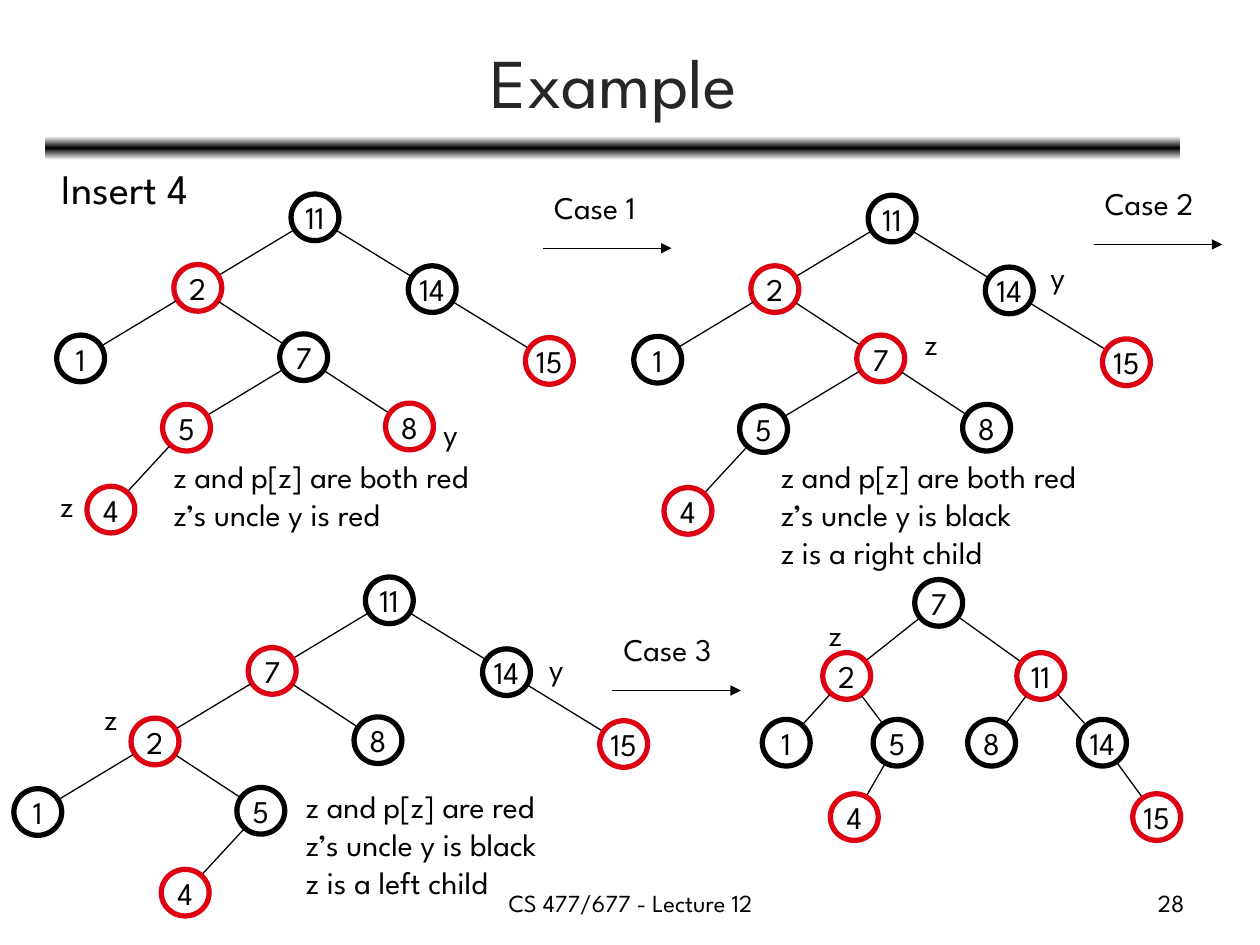
import copy
import math
import pptx
import pptx.util
import pptx.dml.color
import pptx.enum.shapes
import pptx.enum.text
import pptx.oxml
import pptx.oxml.ns

FONT = "League Spartan"
BLACK, RED, GREY, WHITE = "000000", "DD0111", "262626", "FFFFFF"
WIDE, HIGH = 10, 7.5
NODE_W, NODE_H, REACH = 0.38, 0.37, 0.2

# Steps from a parent to a child
LEFT, RIGHT, INNER, STEEP = (-0.93, 0.56), (0.93, 0.57), (0.84, 0.55), (-0.6, 0.65)

# Each tree: root corner, red keys, then key: (parent, step)
FIRST = {"11": None, "2": ("11", LEFT), "14": ("11", RIGHT), "1": ("2", LEFT),
         "15": ("14", RIGHT), "7": ("2", INNER), "8": ("7", INNER),
         "5": ("7", LEFT), "4": ("5", STEEP)}
THIRD = {"11": None, "7": ("11", LEFT), "14": ("11", RIGHT), "15": ("14", RIGHT),
         "2": ("7", LEFT), "8": ("7", INNER), "1": ("2", LEFT),
         "5": ("2", INNER), "4": ("5", STEEP)}
LAST = {"7": None, "2": ("7", (-0.73, 0.58)), "11": ("7", (0.81, 0.58)),
        "1": ("2", (-0.48, 0.53)), "5": ("2", (0.4, 0.53)),
        "8": ("11", (-0.39, 0.53)), "14": ("11", (0.49, 0.53)),
        "4": ("5", (-0.34, 0.59)), "15": ("14", (0.43, 0.59))}
TREES = [((2.31, 1.54), "2 5 8 15 4", FIRST),
         ((6.89, 1.55), "2 7 15 4", FIRST),
         ((2.9, 4.58), "7 2 15 4", THIRD),
         ((7.26, 4.6), "2 11 15 4", LAST)]

# Case arrows: name, left, top of the name
CASES = [("Case 1", 4.3, 1.44), ("Case 2", 8.67, 1.41), ("Case 3", 4.85, 4.95)]

# Pointer names: text, left, top
MARKS = [("y", 3.42, 3.24), ("z", 0.38, 3.81), ("z", 7.24, 2.52), ("y", 8.24, 1.99),
         ("z", 0.73, 5.5), ("y", 4.26, 5.1), ("z", 6.48, 4.83)]

# Remarks: lines, left, top, width
NOTES = [(["z and p[z] are both red", "z’s uncle y is red"], 1.28, 3.58, 3.02),
         (["z and p[z] are both red", "z’s uncle y is black", "z is a right child"],
          6.1, 3.58, 3.02),
         (["z and p[z] are red", "z’s uncle y is black", "z is a left child"],
          2.33, 6.2, 2.43)]

deck = pptx.Presentation()
deck.slide_width = pptx.util.Inches(WIDE)
deck.slide_height = pptx.util.Inches(HIGH)
slide = deck.slides.add_slide(deck.slide_layouts[5])
SHAPE = pptx.enum.shapes.MSO_SHAPE
ALIGN = pptx.enum.text.PP_ALIGN
MIDDLE = pptx.enum.text.MSO_ANCHOR.MIDDLE


def inch(*vals):
    return [pptx.util.Inches(v) for v in vals]


def color(code):
    return pptx.dml.color.RGBColor.from_string(code)


def write(shape, lines, size=18, ink=BLACK, align=ALIGN.LEFT, anchor=None,
          wrap=False, grow=False):
    frame = shape.text_frame
    frame.text = "\n".join(lines)
    frame.word_wrap = wrap
    if anchor is not None:
        frame.vertical_anchor = anchor
    if grow:
        frame.auto_size = pptx.enum.text.MSO_AUTO_SIZE.SHAPE_TO_FIT_TEXT
    for para in frame.paragraphs:
        para.alignment = align
        for run in para.runs:
            run.font.name = FONT
            run.font.size = pptx.util.Pt(size)
            run.font.color.rgb = color(ink)


def label(lines, left, top, width, height, **form):
    box = slide.shapes.add_textbox(*inch(left, top, width, height))
    write(box, lines, **form)


def line(start, end, arrow=False):
    link = slide.shapes.add_connector(
        pptx.enum.shapes.MSO_CONNECTOR.STRAIGHT, *inch(*start, *end))
    link.line.color.rgb = color(BLACK)
    link.line.width = pptx.util.Pt(0.75)
    if arrow:
        tail = pptx.oxml.ns.qn("a:tailEnd")
        link.line._get_or_add_ln().makeelement(tail)
        link._element.spPr.find(pptx.oxml.ns.qn("a:ln")).append(
            pptx.oxml.parse_xml(
                f'<a:tailEnd {pptx.oxml.ns.nsdecls("a")} type="triangle"/>'))
    link._element.spPr.append(
        pptx.oxml.parse_xml(f'<a:effectLst {pptx.oxml.ns.nsdecls("a")}/>'))


def node(key, left, top, ink):
    ring = slide.shapes.add_shape(SHAPE.OVAL, *inch(left, top, NODE_W, NODE_H))
    ring.shadow.inherit = False
    ring.fill.background()
    ring.line.color.rgb = color(ink)
    ring.line.width = pptx.util.Pt(3)
    write(ring, [key], align=ALIGN.CENTER, anchor=MIDDLE)


def edge(top, low):
    # Join two rings, stopping at the rim of each
    dx, dy = low[0] - top[0], low[1] - top[1]
    part = REACH / math.hypot(dx, dy)
    mid = (NODE_W / 2, NODE_H / 2)
    ends = [[top[i] + mid[i] + (dx, dy)[i] * share for i in (0, 1)]
            for share in (part, 1 - part)]
    line(*ends)


def tree(root, reds, nodes):
    spots = {}
    for key, link in nodes.items():
        if link is None:
            spots[key] = root
        else:
            base, step = spots[link[0]], link[1]
            spots[key] = (base[0] + step[0], base[1] + step[1])
            edge(base, spots[key])
        node(key, *spots[key], RED if key in reds.split() else BLACK)


# Title and the shaded bar below it
title = slide.shapes.title
title.left, title.top, title.width, title.height = inch(0.37, 0.14, 9, 0.99)
write(title, ["Example"], size=40, ink=GREY, align=ALIGN.CENTER, anchor=MIDDLE,
      wrap=True)

bar = slide.shapes.add_shape(SHAPE.ROUNDED_RECTANGLE, *inch(0.36, 1.08, 9.01, 0.19))
bar.shadow.inherit = False
bar.line.fill.background()
bar.fill.gradient()
bar.fill.gradient_angle = 90
for stop, code, place in zip(bar.fill.gradient_stops, (WHITE, BLACK), (0, 0.5)):
    stop.color.rgb = color(code)
    stop.position = place
stops = bar._element.spPr.find(".//" + pptx.oxml.ns.qn("a:gsLst"))
last = copy.deepcopy(stops[0])
last.set("pos", "100000")
stops.append(last)

# Trees
for item in TREES:
    tree(*item)

# Labels, arrows and remarks
label(["Insert 4"], 0.39, 1.24, 1.33, 0.5, size=24, grow=True)
for name, left, top in CASES:
    label([name], left, top, 1.05, 0.4, grow=True)
    line((left + 0.01, top + 0.53), (left + 1.03, top + 0.53), arrow=True)
for name, left, top in MARKS:
    label([name], left, top, 0.31 if name == "z" else 0.34, 0.4, grow=True)
for lines, left, top, width in NOTES:
    label(lines, left, top, width, 0.1 + 0.3 * len(lines), grow=True)

# Footer
label(["CS 477/677 - Lecture 12"], 3.42, 7, 3.17, 0.35, size=14,
      align=ALIGN.CENTER, wrap=True)
label(["28"], 7.17, 7, 2.33, 0.35, size=14, align=ALIGN.RIGHT, wrap=True)

deck.save("out.pptx")
